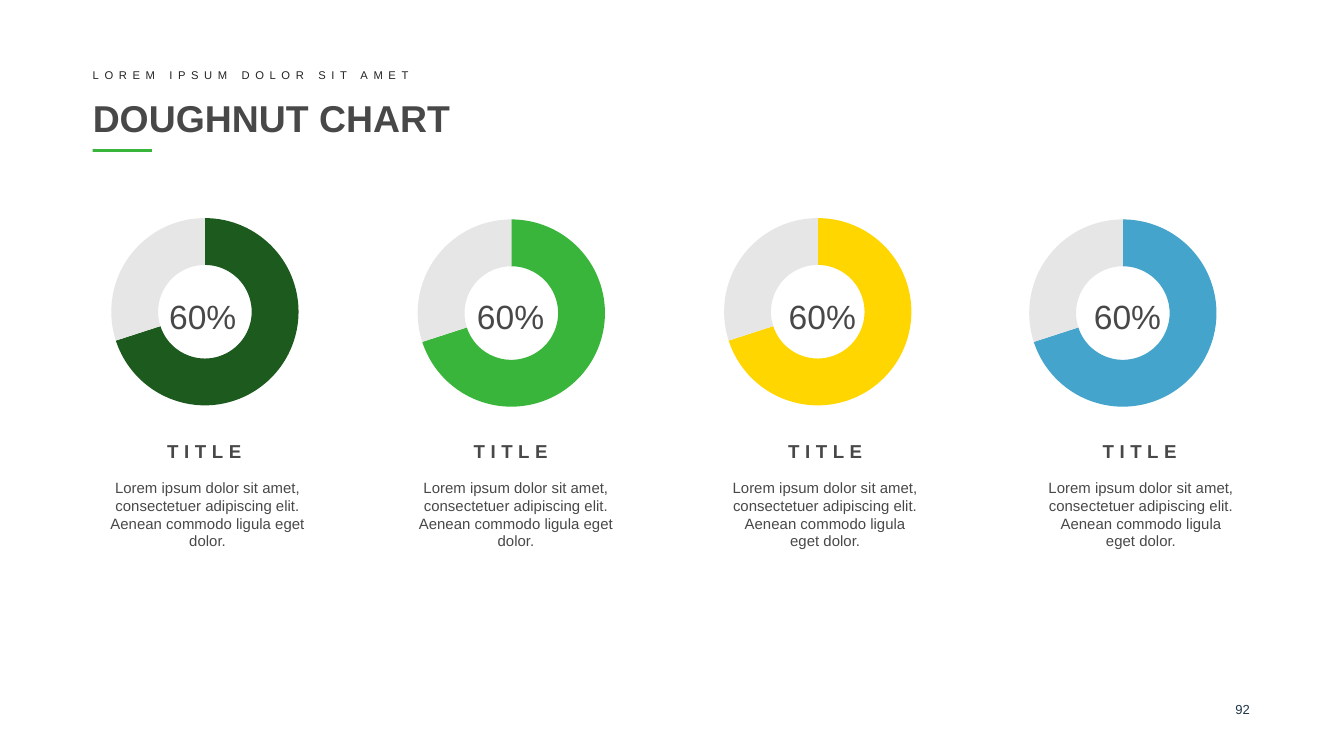
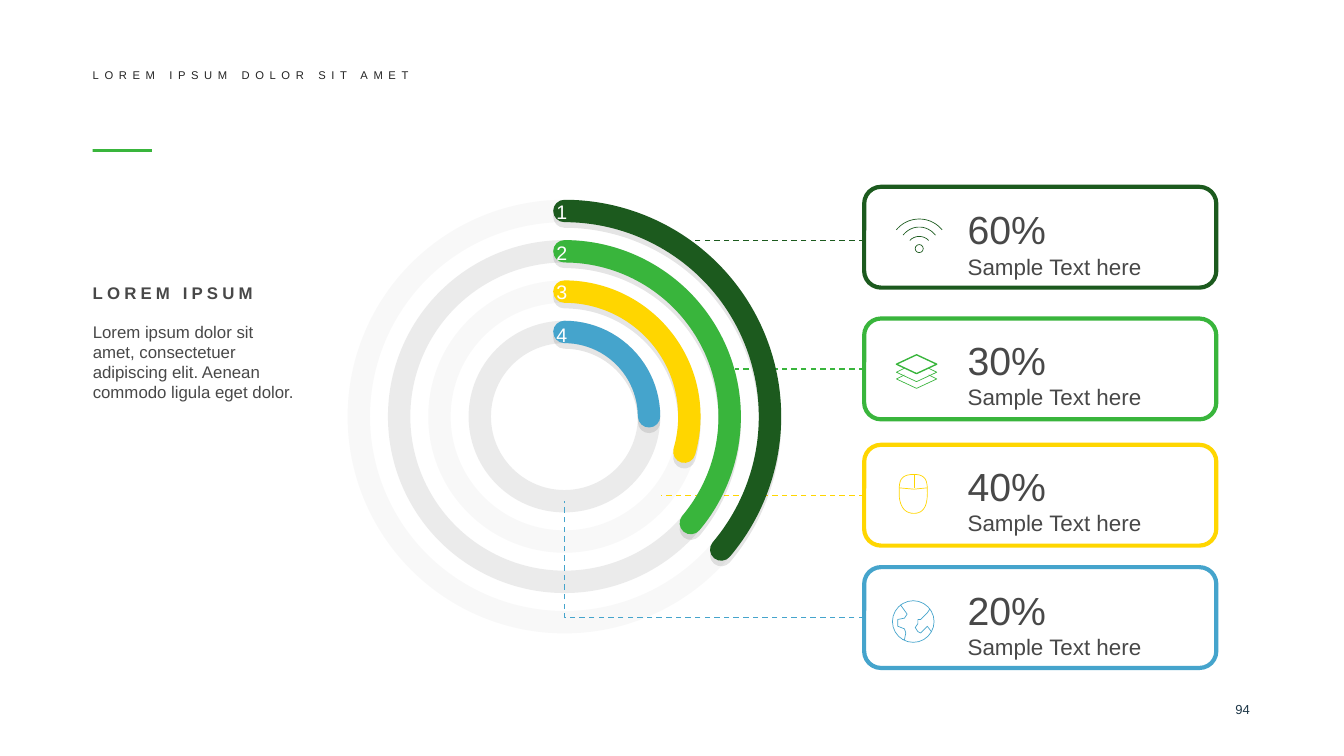
from lxml import etree
from pptx import Presentation
from pptx import util as u
from pptx.chart import data
from pptx.dml.color import RGBColor
from pptx.enum import chart as charts, dml, shapes, text
from pptx.oxml import ns

COLORS = {
    "dark": "1C5A1E", "green": "39B53C", "yellow": "FFD600", "blue": "45A4CC",
    "rest": "E7E6E6", "ring": "BFBFBF", "ink": "484848", "kicker": "242424",
    "number": "1D3647", "white": "FFFFFF", "shadow": "000000",
}
FONT = "Arial"
SERIES = ["dark", "green", "yellow", "blue"]
LOREM = ("Lorem ipsum dolor sit amet, consectetuer adipiscing elit. "
         "Aenean commodo ligula eget dolor.")
NO_INSETS = (0, 0, 0, 0)


def inches(*values):
    return [u.Inches(value) for value in values]


def rgb(name):
    return RGBColor.from_string(COLORS[name])


def add_node(parent, tag, **attributes):
    node = etree.SubElement(parent, ns.qn(tag))
    for key, value in attributes.items():
        node.set(key, str(value))
    return node


def find(element, tag):
    return element.find(".//" + ns.qn(tag))


def curve(start, first, second, end, steps=12):
    """Points along a cubic curve."""
    points = []
    for step in range(steps + 1):
        t = step / steps
        weights = ((1 - t) ** 3, 3 * t * (1 - t) ** 2, 3 * t * t * (1 - t), t ** 3)
        points.append(tuple(
            sum(w * point[axis] for w, point in zip(weights, (start, first, second, end)))
            for axis in (0, 1)))
    return points


class Painter:
    """Holds the deck style and the slide being drawn."""

    def __init__(self):
        self.deck = Presentation()
        self.deck.slide_width = u.Inches(10)
        self.deck.slide_height = u.Inches(10 * 9 / 16)
        self.page = None

    def new_page(self, number):
        self.page = self.deck.slides.add_slide(self.deck.slide_layouts[6])
        bar = self.shape(shapes.MSO_SHAPE.RECTANGLE, (0.69, 1.11, 0.44, 0.02))
        bar.fill.solid()
        bar.fill.fore_color.rgb = rgb("green")
        self.label((8.87, 5.22, 0.43, 0.16), [(str(number), 7)], "number",
                   align="RIGHT", grow=False)
        self.label((0.69, 0.51, 7.17, 0.1), [("LOREM IPSUM DOLOR SIT AMET", 6)],
                   "kicker", spacing=3, middle=True)

    def label(self, at, lines, color="ink", bold=False, spacing=0, align="LEFT",
              insets=NO_INSETS, wrap=True, grow=True, middle=False):
        box = self.page.shapes.add_textbox(*inches(*at))
        frame = box.text_frame
        frame.word_wrap = wrap
        frame.auto_size = getattr(text.MSO_AUTO_SIZE, "SHAPE_TO_FIT_TEXT" if grow else "NONE")
        frame.vertical_anchor = text.MSO_ANCHOR.MIDDLE if middle else text.MSO_ANCHOR.TOP
        (frame.margin_left, frame.margin_top,
         frame.margin_right, frame.margin_bottom) = inches(*insets)
        for index, (words, size) in enumerate(lines):
            para = frame.add_paragraph() if index else frame.paragraphs[0]
            para.alignment = getattr(text.PP_ALIGN, align)
            span = para.add_run()
            span.text = words
            span.font.name, span.font.size, span.font.bold = FONT, u.Pt(size), bold
            span.font.color.rgb = rgb(color)
            if spacing:
                find(span._r, "a:rPr").set("spc", str(round(spacing * 100)))

    def stroke(self, item, color, width, dashed=False):
        item.line.color.rgb = rgb(color)
        item.line.width = u.Pt(width)
        if dashed:
            item.line.dash_style = dml.MSO_LINE.DASH

    def shape(self, kind, at, color=None, width=0):
        item = self.page.shapes.add_shape(kind, *inches(*at))
        item.shadow.inherit = False
        item.fill.background()
        if color:
            self.stroke(item, color, width)
        else:
            item.line.fill.background()
        return item

    def ring(self, at, opacity):
        item = self.shape(shapes.MSO_SHAPE.OVAL, at, "ring", 12)
        add_node(find(find(item.element, "a:ln"), "a:srgbClr"), "a:alpha", val=opacity * 1000)

    def arc(self, at, color, end):
        item = self.shape(shapes.MSO_SHAPE.ARC, at, color, 12)
        item.adjustments[0], item.adjustments[1] = 162, end
        find(item.element, "a:ln").set("cap", "rnd")
        shadow = add_node(find(item.element, "a:effectLst"), "a:outerShdw", blurRad=0,
                          dist=int(u.Pt(3)), dir=5400000, algn="t", rotWithShape=0)
        tint = add_node(shadow, "a:srgbClr", val=COLORS["shadow"])
        add_node(tint, "a:alpha", val=10000)

    def outline(self, points, color, width=0.37, closed=False, dashed=False):
        points = [inches(*point) for point in points]
        builder = self.page.shapes.build_freeform(*points[0], scale=1.0)
        builder.add_line_segments(points[1:], close=closed)
        item = builder.convert_to_shape()
        item.shadow.inherit = False
        item.fill.background()
        self.stroke(item, color, width, dashed)

    def line(self, start, end, color, width, dashed=False, card=None):
        item = self.page.shapes.add_connector(
            shapes.MSO_CONNECTOR.STRAIGHT, *inches(*start, *end))
        if card is not None:
            item.begin_connect(card, 1)
        self.stroke(item, color, width, dashed)
        add_node(item.element.spPr, "a:effectLst")

    def doughnut(self, at, color, values):
        content = data.CategoryChartData()
        content.categories = ["1", "2"]
        content.add_series("Series 1", values)
        chart = self.page.shapes.add_chart(
            charts.XL_CHART_TYPE.DOUGHNUT, *inches(*at), content).chart
        chart.has_legend = chart.has_title = False
        chart.font.name, chart.font.size = FONT, u.Pt(18)
        chart.font.color.rgb = rgb("ink")
        plot = chart.plots[0]
        plot.vary_by_categories = True
        for index, name in enumerate((color, "rest")):
            look = plot.series[0].points[index].format
            look.fill.solid()
            look.fill.fore_color.rgb = rgb(name)
            look.line.fill.background()
        find(chart.element, "c:holeSize").set("val", "75")
        # Fixed plot area
        area = find(chart.element, "c:plotArea")
        layout = area.find(ns.qn("c:layout"))
        if layout is None:
            layout = add_node(area, "c:layout")
            area.insert(0, layout)
        manual = add_node(layout, "c:manualLayout")
        add_node(manual, "c:layoutTarget", val="inner")
        add_node(manual, "c:xMode", val="edge")
        add_node(manual, "c:yMode", val="edge")
        for key, value in zip("xywh", (0.08, 0.09, 0.84, 0.82)):
            add_node(manual, "c:" + key, val=value)


def doughnut_page(paint):
    paint.new_page(92)
    paint.label((0.69, 0.69, 8.62, 0.37), [("DOUGHNUT CHART", 20)],
                bold=True, middle=True, grow=False)
    # chart left, chart top, value left, title left, body left, body width
    columns = [
        (0.69, 1.47, 1.16, 1.22, 0.81, 1.47),
        (2.97, 1.48, 3.45, 3.5, 3.11, 1.46),
        (5.25, 1.47, 5.77, 5.84, 5.42, 1.44),
        (7.52, 1.48, 8.04, 8.18, 7.77, 1.44),
    ]
    for color, (left, top, value, title, body, width) in zip(SERIES, columns):
        paint.doughnut((left, top, 1.67, 1.7), color, (70, 30))
        paint.label((value, 2.15, 0.71, 0.4), [("60%", 18)],
                    insets=(0.1, 0.05, 0.1, 0.05), wrap=False)
        paint.label((title, 3.27, 0.6, 0.17), [("TITLE", 10)], bold=True,
                    spacing=3, align="CENTER", wrap=False)
        paint.label((body, 3.56, width, 0.54), [(LOREM, 8)], align="CENTER")


def wifi_icon(paint, color):
    paint.shape(shapes.MSO_SHAPE.OVAL, (6.81, 1.82, 0.06, 0.06), color, 0.37)
    center = 6.84
    for half, top, height in ((0.07, 1.76, 0.03), (0.12, 1.69, 0.06), (0.17, 1.63, 0.08)):
        rise = curve((-half, top + height), (-0.75 * half, top + 0.37 * height),
                     (-0.4 * half, top), (0, top))
        wave = rise + [(-x, y) for x, y in rise[-2::-1]]
        paint.outline([(center + x, y) for x, y in wave], color)


def layers_icon(paint, color):
    left, center, right = 6.67, 6.82, 6.97
    paint.outline([(center, 2.64), (left, 2.71), (center, 2.78), (right, 2.71)],
                  color, 0.75, closed=True)
    for top in (2.74, 2.79):
        paint.outline([(6.91, top), (right, top + 0.03), (center, top + 0.1),
                       (left, top + 0.03), (6.73, top)], color)


def mouse_icon(paint, color):
    left, center, right, top, middle, bottom = 6.69, 6.8, 6.9, 3.53, 3.67, 3.82
    body = (curve((right, middle), (right, 3.75), (6.88, bottom), (center, bottom))
            + curve((center, bottom), (6.72, bottom), (left, 3.75), (left, middle))[1:]
            + curve((left, middle), (left, 3.59), (left, top), (center, top))[1:]
            + curve((center, top), (right, top), (right, 3.59), (right, middle))[1:-1])
    paint.outline(body, color, closed=True)
    paint.line((center, top), (center, 3.63), color, 0.37)
    paint.outline([(left, 3.63), (center, 3.64), (right, 3.63)], color)


def globe_icon(paint, color):
    paint.shape(shapes.MSO_SHAPE.OVAL, (6.64, 4.47, 0.31, 0.31), color, 0.37)
    paint.outline([(6.7, 4.5), (6.75, 4.57), (6.73, 4.6), (6.68, 4.61), (6.68, 4.66),
                   (6.73, 4.68), (6.74, 4.71), (6.73, 4.76), (6.72, 4.76)], color)
    paint.outline([(6.92, 4.53), (6.9, 4.56), (6.85, 4.61), (6.83, 4.61), (6.83, 4.64),
                   (6.81, 4.67), (6.83, 4.7), (6.85, 4.71), (6.88, 4.68), (6.9, 4.66),
                   (6.93, 4.7)], color)


def rings_page(paint):
    paint.new_page(94)
    card_left, card_height = 6.43, 0.75
    # card top, text top, value, leader end, number top, arc end, icon
    rows = [
        (1.39, 1.49, "60%", (5.15, 1.79), 1.45, 24.17, wifi_icon),
        (2.37, 2.46, "30%", (5.47, 2.74), 1.75, 24.07, layers_icon),
        (3.31, 3.4, "40%", (4.92, 3.68), 2.04, 9.79, mouse_icon),
        (4.22, 4.32, "20%", (4.2, 3.73), 2.36, 215.9, globe_icon),
    ]
    circles = [(2.67 + 0.3 * i, 1.57 + 0.3 * i, 3.06 - 0.6 * i, 3.06 - 0.6 * i)
               for i in range(len(rows))]

    # Cards, leaders and background rings
    for index, (color, row) in enumerate(zip(SERIES, rows)):
        top, text_top, value, (end_x, end_y), _, _, icon = row
        card = paint.shape(shapes.MSO_SHAPE.ROUNDED_RECTANGLE,
                           (card_left, top, 2.62, card_height), color, 2.25)
        paint.ring(circles[index], 30 if index % 2 else 10)
        paint.label((7, text_top, 1.96, 0.67), [(value, 21), ("Sample Text here", 12)],
                    insets=(0.2, 0.04, 0.2, 0.08))
        icon(paint, color)
        middle = top + card_height / 2
        if color == "blue":
            paint.outline([(card_left, middle), (end_x, middle), (end_x, end_y)],
                          color, 0.75, dashed=True)
        elif abs(middle - end_y) < 0.01:
            paint.line((card_left, middle), (end_x, middle), color, 0.75, True, card)
        else:
            paint.line((card_left, end_y), (end_x, end_y), color, 0.75, True)

    # Arcs and their numbers
    for index in reversed(range(len(rows))):
        paint.arc(circles[index], SERIES[index], rows[index][5])
    for index, row in enumerate(rows, 1):
        paint.label((4.07, row[4], 0.23, 0.25), [(str(index), 10.5)], "white",
                    insets=(0.07, 0.04, 0.07, 0.04), wrap=False)

    # Side text
    paint.label((0.69, 2.1, 1.24, 0.15), [("LOREM IPSUM", 9)], bold=True,
                spacing=2.2, wrap=False, middle=True)
    paint.label((0.69, 2.39, 1.52, 0.61), [(LOREM, 9)])


def main():
    paint = Painter()
    doughnut_page(paint)
    rings_page(paint)
    paint.deck.save("out.pptx")


if __name__ == "__main__":
    main()
